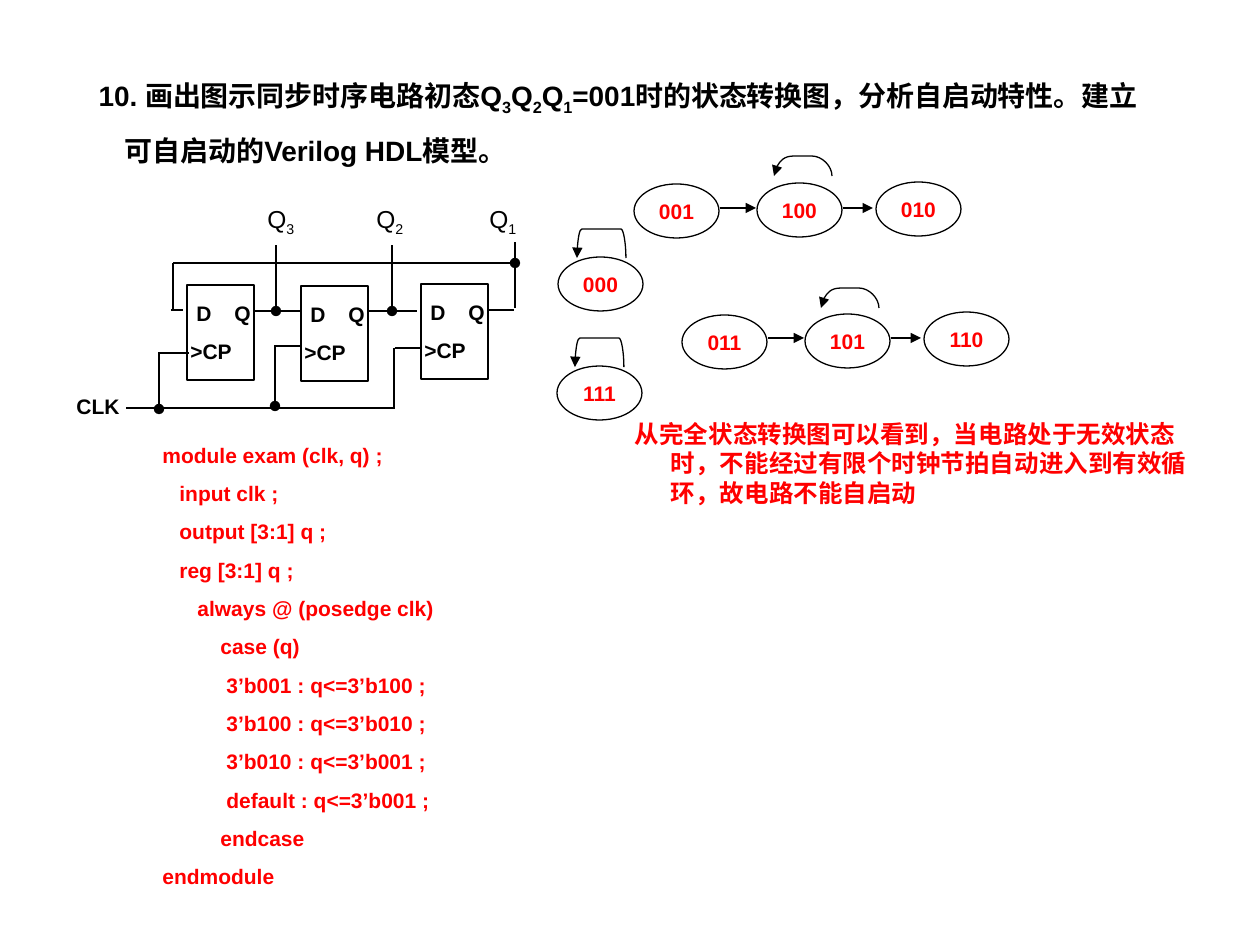
"""Build the slide on a synchronous circuit, its state diagram and Verilog model."""
from lxml.etree import SubElement
from pptx import Presentation
from pptx.dml.color import RGBColor
from pptx.enum.shapes import MSO_CONNECTOR, MSO_SHAPE
from pptx.enum.text import MSO_ANCHOR, MSO_AUTO_SIZE, PP_ALIGN as ALIGN
from pptx.oxml.ns import qn
from pptx.util import Pt

PX = 914400 / 126
BLACK = RGBColor(0, 0, 0)
WHITE = RGBColor(255, 255, 255)
RED = RGBColor(255, 0, 0)

TITLE = [(0, "10. 画出图示同步时序电路初态Q|3|Q|2|Q|1|=001时的状态转换图，分析自启动特性。建立"),
         (26, "可自启动的Verilog HDL模型。")]
CODE = [(0, "module exam (clk, q) ;"), (17, "input clk ;"),
        (17, "output [3:1] q ;"), (17, "reg [3:1] q ;"),
        (35, "always @ (posedge clk)"), (58, "case (q)"),
        (64, "3’b001 : q<=3’b100 ;"), (64, "3’b100 : q<=3’b010 ;"),
        (64, "3’b010 : q<=3’b001 ;"), (64, "default : q<=3’b001 ;"),
        (58, "endcase"), (0, "endmodule")]
NOTE = [(47, "从完全状态转换图可以看到，当电路处于无效状态时，不能经过有限个时钟节拍"
             "自动进入到有效循环，故电路不能自启动")]
OUTPUTS = [("Q|3", 255), ("Q|2", 364), ("Q|1", 477)]
PINS = [("D", -3, 9, 45), ("Q", 35, 9, 45), (">CP", -9, 47, 75)]

FLIP_FLOPS = [(187, 285), (301, 286), (421, 284)]
WIRES = [(253, 311, 300, 311), (368, 311, 417, 311), (489, 310, 514, 310),
         (515, 308, 515, 242), (171, 310, 183, 310), (173, 263, 173, 311),
         (126, 408, 395, 408), (394, 348, 394, 408), (395, 348, 422, 348),
         (275, 346, 300, 346), (159, 353, 189, 353)]
DOTTED_WIRES = [(276, 311, 276, 245), (392, 311, 392, 245), (515, 263, 173, 263),
                (275, 406, 275, 345), (159, 409, 159, 352)]
STATES = [("001", 634, 184), ("100", 757, 183), ("010", 876, 182),
          ("000", 558, 257), ("111", 557, 366),
          ("011", 682, 315), ("101", 805, 314), ("110", 924, 312)]
ARROWS = [(720, 208, 756, 208), (843, 208, 873, 208),
          (768, 338, 804, 338), (891, 338, 921, 338)]
WIDE_LOOP, TALL_LOOP = (58, 20, 20), (49, 29, 5)
LOOPS = [(774, 156, WIDE_LOOP), (821, 288, WIDE_LOOP),
         (577, 229, TALL_LOOP), (575, 338, TALL_LOOP)]


def px(*values):
    return [round(v * PX) for v in values]


def write(tf, paras, size, color=BLACK, bold=True, before=7.5,
          align=ALIGN.LEFT, first=0):
    for i, (indent, text) in enumerate(paras):
        p = tf.paragraphs[0] if i == 0 else tf.add_paragraph()
        p.alignment = align
        p.space_before = Pt(before)
        pPr = p._p.get_or_add_pPr()
        pPr.set("marL", str(px(indent)[0]))
        pPr.set("indent", str(px(first)[0]))
        for k, piece in enumerate(text.split("|")):
            r = p.add_run()
            r.text = piece
            r.font.name, r.font.size, r.font.bold = "Arial", Pt(size), bold
            r.font.color.rgb = color
            if k % 2:
                r._r.get_or_add_rPr().set("baseline", "-25000")


def add_text(s, box, paras, size, **style):
    tf = s.shapes.add_textbox(*px(*box)).text_frame
    tf.word_wrap = True
    write(tf, paras, size, **style)
    return tf


def outline(sp, end=None, kind=None):
    sp.line.color.rgb = BLACK
    sp.line.width = Pt(0.75)
    if end:
        SubElement(sp.line._get_or_add_ln(), qn(f"a:{end}End"), type=kind)


def add_line(s, ends, end=None, kind=None):
    c = s.shapes.add_connector(MSO_CONNECTOR.STRAIGHT, *px(*ends))
    outline(c, end, kind)
    SubElement(c._element.spPr, qn("a:effectLst"))


def add_box(s, shape, box):
    sp = s.shapes.add_shape(shape, *px(*box))
    sp.shadow.inherit = False
    sp.fill.solid()
    sp.fill.fore_color.rgb = WHITE
    outline(sp)
    return sp


def add_loop(s, x, y, size):
    w, h, r = size
    points = [(x, y + h), (x + r, y), (x + w - r, y), (x + w, y + h)]
    fb = s.shapes.build_freeform(*px(*points[0]), scale=1.0)
    fb.add_line_segments([px(*pt) for pt in points[1:]], close=False)
    sp = fb.convert_to_shape()
    sp.shadow.inherit = False
    sp.fill.background()
    outline(sp, "head", "triangle")
    rise, _, fall = sp._element.findall(".//" + qn("a:lnTo"))
    controls = [(rise, [(0, h / 2), (r / 2, 0)]),
                (fall, [(w - r / 2, 0), (w, h / 2)])]
    for seg, handles in controls:
        seg.tag = qn("a:cubicBezTo")
        for i, handle in enumerate(handles):
            cx, cy = px(*handle)
            pt = SubElement(seg, qn("a:pt"), x=str(cx), y=str(cy))
            seg.insert(i, pt)


def main():
    prs = Presentation()
    prs.slide_width, prs.slide_height = px(1260, 945)
    s = prs.slides.add_slide(prs.slide_layouts[5])

    title = s.shapes.title
    title.left, title.top, title.width, title.height = px(86, 72, 1091, 102)
    tf = title.text_frame
    tf.word_wrap = True
    tf.auto_size = MSO_AUTO_SIZE.NONE
    tf.vertical_anchor = MSO_ANCHOR.TOP
    write(tf, TITLE, 16, before=10)

    for x, y in FLIP_FLOPS:
        add_box(s, MSO_SHAPE.RECTANGLE, (x, y, 67, 95))
        for pin, dx, dy, w in PINS:
            add_text(s, (x + dx, y + dy, w, 38), [(0, pin)], 12)
    for wire in WIRES:
        add_line(s, wire)
    for wire in DOTTED_WIRES:
        add_line(s, wire, "head", "oval")
    for name, x in OUTPUTS:
        add_text(s, (x, 198, 60, 47), [(0, name)], 14, bold=False)
    add_text(s, (64, 387, 72, 38), [(0, "CLK")], 12)

    for name, x, y in STATES:
        sp = add_box(s, MSO_SHAPE.OVAL, (x, y, 85, 54))
        sp.text_frame.word_wrap = False
        sp.text_frame.vertical_anchor = MSO_ANCHOR.MIDDLE
        write(sp.text_frame, [(0, name)], 12, color=RED, align=ALIGN.CENTER)
    for arrow in ARROWS:
        add_line(s, arrow, "tail", "triangle")
    for loop in LOOPS:
        add_loop(s, *loop)

    tf = add_text(s, (624, 409, 565, 108), NOTE, 14, color=RED, first=-36)
    tf.margin_left = tf.margin_right = 0
    tf.margin_top = tf.margin_bottom = px(10)[0]
    add_text(s, (150, 436, 610, 460), CODE, 12, color=RED)
    prs.save("out.pptx")


if __name__ == "__main__":
    main()
